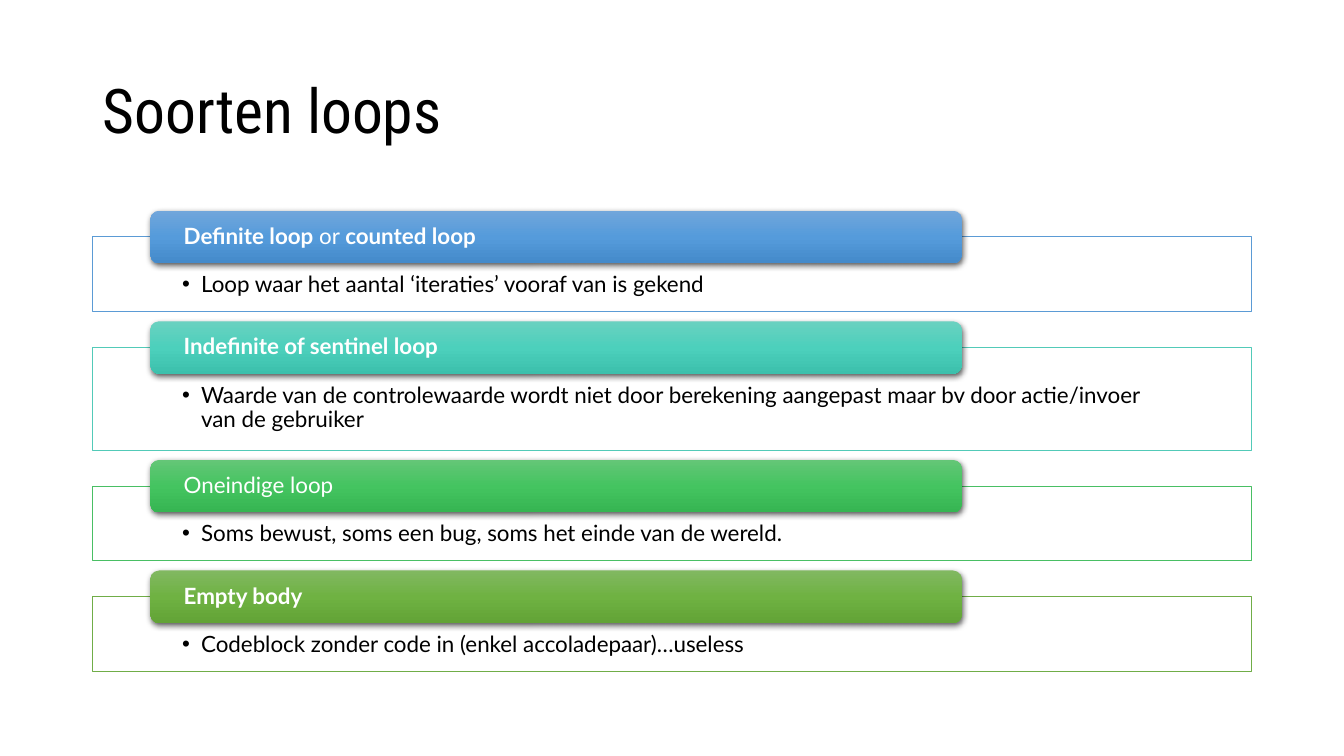
"""Build the slide "Soorten loops": four loop types, each a tab over a framed note."""
import dataclasses

import lxml.etree
import pptx
import pptx.dml.color
import pptx.enum.shapes
import pptx.enum.text
import pptx.oxml
import pptx.oxml.ns
import pptx.util

Pt = pptx.util.Pt
qn = pptx.oxml.ns.qn
MSO_SHAPE = pptx.enum.shapes.MSO_SHAPE

COLORS = {"black": "000000", "white": "FFFFFF", "blue": "5B9BD5", "teal": "52CAB8",
          "green": "49BF64", "olive": "70AD47"}
GRADIENTS = {"blue": ("71A6DB", "559BDB", "448ACA"), "teal": ("6AD1C0", "4CD0BC", "3CC0AC"),
             "green": ("64C677", "44C460", "36B552"), "olive": ("81B861", "6FB242", "62A336")}
LEFT, WIDTH = 66, 828
TAB_LEFT, TAB_WIDTH, TAB_HEIGHT = 107.4, 579.6, 37.6
FIRST_TOP, FRAME_DROP, GAP = 150.5, 18.6, 7


@dataclasses.dataclass(frozen=True)
class Run:
    """A piece of heading text."""
    text: str
    bold: bool = True


@dataclasses.dataclass(frozen=True)
class LoopType:
    """One kind of loop with its heading, note and frame height."""
    color: str
    heading: tuple[Run, ...]
    note: str
    height: float = 53.4


LOOPS = (
    LoopType("blue", (Run("Definite loop"), Run(" or ", False), Run("counted loop")),
             "Loop waar het aantal ‘iteraties’ vooraf van is gekend"),
    LoopType("teal", (Run("Indefinite of sentinel loop"),),
             "Waarde van de controlewaarde wordt niet door berekening aangepast "
             "maar bv door actie/invoer van de gebruiker", 73.4),
    LoopType("green", (Run("Oneindige loop", False),),
             "Soms bewust, soms een bug, soms het einde van de wereld."),
    LoopType("olive", (Run("Empty body"),),
             "Codeblock zonder code in (enkel accoladepaar)…useless"),
)


def rgb(name: str) -> pptx.dml.color.RGBColor:
    """Look up a named colour."""
    return pptx.dml.color.RGBColor.from_string(COLORS[name])


def add_text(p, text: str, *, size: float = 16, font: str = "Lato",
             color: str = "black", bold: bool = False) -> None:
    """Add a formatted run to a left-aligned paragraph."""
    p.alignment = pptx.enum.text.PP_ALIGN.LEFT
    p.line_spacing = 0.9
    r = p.add_run()
    r.text = text
    r.font.size, r.font.name, r.font.bold = Pt(size), font, bold
    r.font.color.rgb = rgb(color)


def set_frame(sp, anchor: str, left: float, top: float, right: float, bottom: float):
    """Set wrapping, anchor and insets, and return the first paragraph."""
    tf = sp.text_frame
    tf.word_wrap = True
    tf.vertical_anchor = pptx.enum.text.MSO_ANCHOR[anchor]
    tf.margin_left, tf.margin_top = Pt(left), Pt(top)
    tf.margin_right, tf.margin_bottom = Pt(right), Pt(bottom)
    return tf.paragraphs[0]


def add_bullet(p) -> None:
    """Give a paragraph a hanging bullet."""
    pPr = p._p.get_or_add_pPr()
    pPr.set("marL", str(Pt(13.5)))
    pPr.set("indent", str(-Pt(13.5)))
    lxml.etree.SubElement(pPr, qn("a:buFont"), typeface="Arial")
    lxml.etree.SubElement(pPr, qn("a:buChar"), char="•")


def add_gradient(sp, stops: tuple[str, ...]) -> None:
    """Fill a shape from top to bottom through evenly spaced colours."""
    step = 100000 // (len(stops) - 1)
    gs = "".join(f'<a:gs pos="{i * step}"><a:srgbClr val="{c}"/></a:gs>'
                 for i, c in enumerate(stops))
    sp.fill.background()
    spPr = sp._element.spPr
    spPr.replace(spPr.find(qn("a:noFill")), pptx.oxml.parse_xml(
        f'<a:gradFill {pptx.oxml.ns.nsdecls("a")} rotWithShape="1"><a:gsLst>{gs}</a:gsLst>'
        '<a:lin ang="5400000" scaled="0"/></a:gradFill>'))


def add_shadow(sp) -> None:
    """Cast a soft shadow downwards."""
    sp.shadow.inherit = False
    sp._element.spPr.find(qn("a:effectLst")).append(pptx.oxml.parse_xml(
        f'<a:outerShdw {pptx.oxml.ns.nsdecls("a")} blurRad="{Pt(4.5)}" dist="{Pt(1.5)}" '
        f'dir="5400000" algn="ctr" rotWithShape="0"><a:srgbClr val="{COLORS["black"]}">'
        '<a:alpha val="63000"/></a:srgbClr></a:outerShdw>'))


def add_note(s, loop: LoopType, top: float) -> None:
    """Draw the outlined frame with its bulleted note."""
    sp = s.shapes.add_shape(MSO_SHAPE.RECTANGLE, Pt(LEFT), Pt(top), Pt(WIDTH), Pt(loop.height))
    sp.shadow.inherit = False
    sp.fill.solid()
    sp.fill.fore_color.rgb = rgb("white")
    fill = sp._element.spPr.find(qn("a:solidFill"))
    lxml.etree.SubElement(fill[0], qn("a:alpha"), val="90000")
    sp.line.color.rgb = rgb(loop.color)
    sp.line.width = Pt(0.5)
    p = set_frame(sp, "TOP", 64.2, 26, 64.2, 8.6)
    add_bullet(p)
    add_text(p, loop.note)


def add_tab(s, loop: LoopType, top: float) -> None:
    """Draw the rounded heading tab."""
    sp = s.shapes.add_shape(MSO_SHAPE.ROUNDED_RECTANGLE, Pt(TAB_LEFT), Pt(top),
                            Pt(TAB_WIDTH), Pt(TAB_HEIGHT))
    add_gradient(sp, GRADIENTS[loop.color])
    sp.line.fill.background()
    add_shadow(sp)
    p = set_frame(sp, "MIDDLE", 22, 0, 22, 0)
    for run in loop.heading:
        add_text(p, run.text, color="white", bold=run.bold)


def main() -> None:
    """Build and save the slide."""
    prs = pptx.Presentation()
    prs.slide_width, prs.slide_height = Pt(960), Pt(540)
    s = prs.slides.add_slide(prs.slide_layouts[6])
    title = s.shapes.add_textbox(Pt(LEFT), Pt(28.8), Pt(WIDTH), Pt(104.4))
    p = set_frame(title, "MIDDLE", 7.2, 3.6, 7.2, 3.6)
    add_text(p, "Soorten loops", size=44, font="Roboto Condensed")
    top = FIRST_TOP
    for loop in LOOPS:
        add_note(s, loop, top + FRAME_DROP)
        add_tab(s, loop, top)
        top += FRAME_DROP + loop.height + GAP
    prs.save("out.pptx")


if __name__ == "__main__":
    main()
